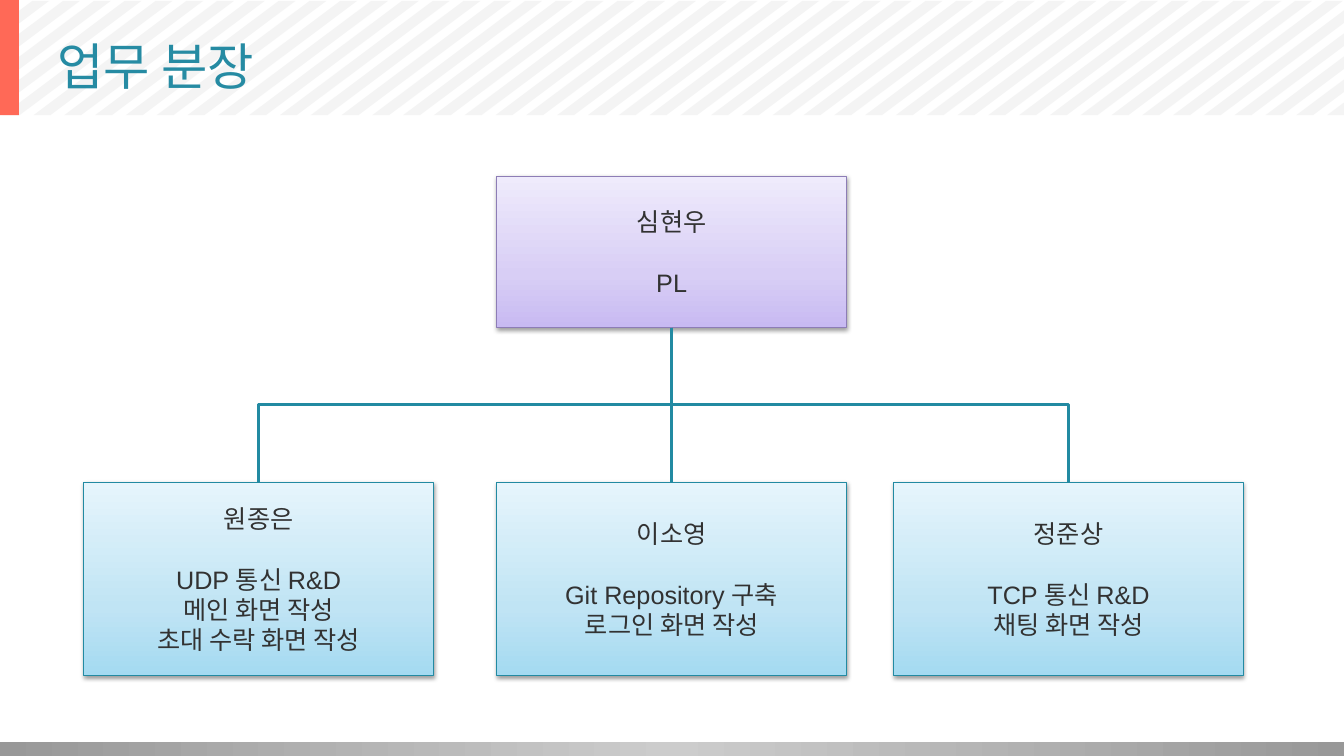
from lxml.etree import SubElement
from pptx import Presentation
from pptx.dml.color import RGBColor
from pptx.enum.shapes import MSO_CONNECTOR, MSO_SHAPE
from pptx.enum.text import MSO_ANCHOR, PP_ALIGN
from pptx.oxml.ns import qn
from pptx.util import Pt

TITLE = "업무 분장"
LEADER = ("심현우", ["PL"])
MEMBERS = [
    (60, "원종은", ["UDP 통신 R&D", "메인 화면 작성", "초대 수락 화면 작성"]),
    (355, "이소영", ["Git Repository 구축", "로그인 화면 작성"]),
    (638.5, "정준상", ["TCP 통신 R&D", "채팅 화면 작성"]),
]
FONT = "Arial"
TEAL, TEXT, STRIPE = "228AA2", "323232", "EBEBEB"
PURPLE_STOPS = [(0, "C8BAF2"), (35, "D8CEF5"), (100, "EFEBFC")]
BLUE_STOPS = [(0, "A4DAF1"), (35, "C0E4F4"), (100, "E6F5FC")]
GRAY_STOPS = [(0, "989898"), (50, "CCCCCC"), (100, "989898")]

SLIDE_W, SLIDE_H = 960, 540
BAND_TOP, BAND_BOTTOM = 0.7, 82.2
STRIPE_PITCH, STRIPE_W, STRIPE_RUN = 22, 12, 109
CARD_W, LEADER_H, MEMBER_H = 249.5, 108, 138
LEADER_TOP, MEMBER_TOP = 126, 344.5

deck = Presentation()
deck.slide_width, deck.slide_height = Pt(SLIDE_W), Pt(SLIDE_H)
slide = deck.slides.add_slide(deck.slide_layouts[6])


def color(hex_value):
    return RGBColor.from_string(hex_value)


def add_alpha(rgb, percent):
    SubElement(rgb, qn("a:alpha"), val=str(percent * 1000))


def clip(points, edge, sign):
    kept = []
    for (x1, y1), (x2, y2) in zip(points, points[1:] + points[:1]):
        if sign * (x1 - edge) >= 0:
            kept.append((x1, y1))
        if (x1 - edge) * (x2 - edge) < 0:
            kept.append((edge, y1 + (y2 - y1) * (edge - x1) / (x2 - x1)))
    return kept


def add_stripe(left):
    outline = [
        (left + STRIPE_W, BAND_BOTTOM),
        (left + STRIPE_W + STRIPE_RUN, BAND_TOP),
        (left + STRIPE_RUN, BAND_TOP),
        (left, BAND_BOTTOM),
    ]
    outline = clip(clip(outline, 0, 1), SLIDE_W, -1)
    corners = [(Pt(x), Pt(y)) for x, y in outline]
    builder = slide.shapes.build_freeform(*corners[0])
    builder.add_line_segments(corners[1:], close=True)
    stripe = builder.convert_to_shape()
    stripe.shadow.inherit = False
    stripe.line.fill.background()
    stripe.fill.solid()
    stripe.fill.fore_color.rgb = color(STRIPE)
    add_alpha(next(stripe._element.spPr.iter(qn("a:srgbClr"))), 52)


def add_rect(left, top, width, height):
    rect = slide.shapes.add_shape(MSO_SHAPE.RECTANGLE, Pt(left), Pt(top), Pt(width), Pt(height))
    rect.shadow.inherit = False
    rect.line.fill.background()
    return rect


def set_gradient(rect, stops, angle):
    rect.fill.gradient()
    gradient = rect._element.spPr.find(qn("a:gradFill"))
    for child in list(gradient):
        gradient.remove(child)
    stop_list = SubElement(gradient, qn("a:gsLst"))
    for position, hex_value in stops:
        stop = SubElement(stop_list, qn("a:gs"), pos=str(position * 1000))
        SubElement(stop, qn("a:srgbClr"), val=hex_value)
    SubElement(gradient, qn("a:lin"), ang=str(angle * 60000), scaled="0")


def set_paragraph(paragraph, text, size, hex_value):
    paragraph.text = text
    paragraph.font.size = Pt(size)
    paragraph.font.name = FONT
    paragraph.font.color.rgb = color(hex_value)


def add_card(left, top, height, person, tasks, stops, border):
    card = add_rect(left, top, CARD_W, height)
    set_gradient(card, stops, 270)
    card.line.color.rgb = color(border)
    card.line.width = Pt(0)
    effects = card._element.spPr.find(qn("a:effectLst"))
    shadow = SubElement(effects, qn("a:outerShdw"), blurRad=str(Pt(3.1)), dist=str(Pt(1.6)),
                        dir=str(90 * 60000), rotWithShape="0")
    add_alpha(SubElement(shadow, qn("a:srgbClr"), val="000000"), 38)
    frame = card.text_frame
    frame.word_wrap = True
    frame.vertical_anchor = MSO_ANCHOR.MIDDLE
    for index, text in enumerate([person] + tasks):
        paragraph = frame.add_paragraph() if index else frame.paragraphs[0]
        set_paragraph(paragraph, text, 18, TEXT)
        paragraph.alignment = PP_ALIGN.CENTER
    frame.paragraphs[0].space_after = Pt(22)
    return card


def add_branch(leader, member):
    start_x, start_y = leader.left + leader.width // 2, leader.top + leader.height
    end_x, end_y = member.left + member.width // 2, member.top
    middle_x, middle_y = (start_x + end_x) // 2, (start_y + end_y) // 2
    half_drop, half_shift = (end_y - start_y) // 2, (end_x - start_x) // 2
    branch = slide.shapes.add_connector(MSO_CONNECTOR.ELBOW, start_x, start_y, end_x, end_y)
    branch.begin_connect(leader, 2)
    branch.end_connect(member, 0)
    branch.begin_x, branch.begin_y = middle_x - half_drop, middle_y + half_shift
    branch.end_x, branch.end_y = middle_x + half_drop, middle_y - half_shift
    branch.rotation = 90
    branch.line.color.rgb = color(TEAL)
    branch.line.width = Pt(0)
    SubElement(branch._element.spPr, qn("a:effectLst"))


for step in range(-5, 44):
    add_stripe(2 + STRIPE_PITCH * step)

footer = add_rect(0, 530, SLIDE_W, 10)
set_gradient(footer, GRAY_STOPS, 0)
accent = add_rect(0, 0, 13.5, BAND_BOTTOM)
accent.fill.solid()
accent.fill.fore_color.rgb = color("FF6957")

heading = slide.shapes.add_textbox(Pt(34), Pt(10), Pt(890), Pt(74)).text_frame
heading.word_wrap = True
heading.vertical_anchor = MSO_ANCHOR.MIDDLE
set_paragraph(heading.paragraphs[0], TITLE, 36, "268BA3")

leader_card = add_card(355, LEADER_TOP, LEADER_H, *LEADER, PURPLE_STOPS, "8D7DB6")
member_cards = [
    add_card(left, MEMBER_TOP, MEMBER_H, person, tasks, BLUE_STOPS, TEAL)
    for left, person, tasks in MEMBERS
]
for member_card in member_cards:
    add_branch(leader_card, member_card)

deck.save("out.pptx")
